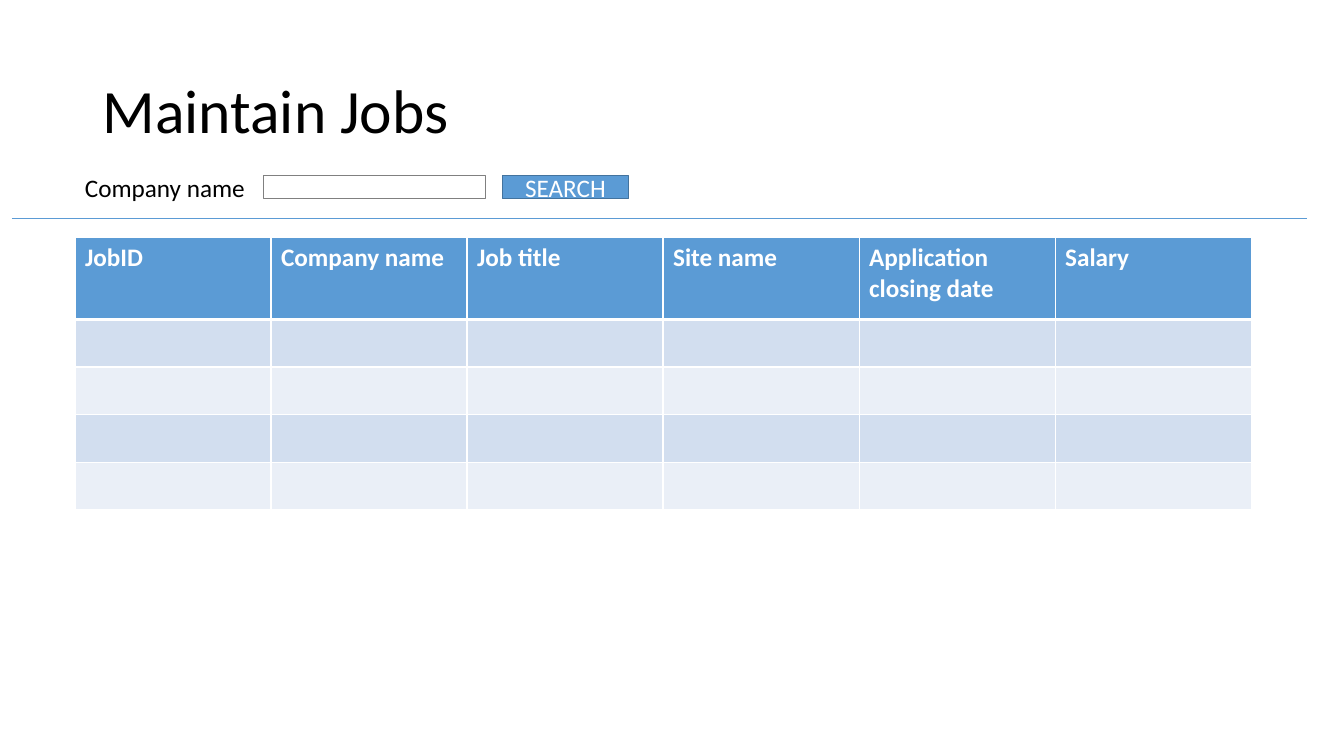
from lxml.etree import SubElement
from pptx import Presentation
from pptx.dml.color import RGBColor
from pptx.enum.shapes import MSO_CONNECTOR, MSO_SHAPE
from pptx.enum.text import MSO_ANCHOR, PP_ALIGN
from pptx.oxml.ns import qn
from pptx.util import Cm, Pt

FONT = "Calibri"
BLACK = "000000"
WHITE = "FFFFFF"
BLUE = "5B9BD5"
BAND_FILLS = ["D2DEEF", "EAEFF7"]
HEADERS = ["JobID", "Company name", "Job title", "Site name",
           "Application closing date", "Salary"]
BODY_ROWS = 4


def color(hex_value):
    return RGBColor.from_string(hex_value)


def write(text_frame, text, size, hex_value, align=PP_ALIGN.LEFT, bold=False):
    text_frame.word_wrap = True
    paragraph = text_frame.paragraphs[0]
    paragraph.text = text
    paragraph.alignment = align
    paragraph.font.name = FONT
    paragraph.font.size = Pt(size)
    paragraph.font.bold = bold
    paragraph.font.color.rgb = color(hex_value)
    return paragraph


def set_title(slide, text):
    title = slide.shapes.title
    title.left, title.top, title.width, title.height = Cm(2.33), Cm(1.01), Cm(29.21), Cm(3.68)
    title.text_frame.vertical_anchor = MSO_ANCHOR.MIDDLE
    write(title.text_frame, text, 44, BLACK).line_spacing = 0.9


def add_box(slide, left, top, width, height, fill, line=None):
    shape = slide.shapes.add_shape(
        MSO_SHAPE.RECTANGLE, Cm(left), Cm(top), Cm(width), Cm(height))
    shape.shadow.inherit = False
    shape.fill.solid()
    shape.fill.fore_color.rgb = color(fill)
    if line:
        shape.line.color.rgb = color(line)
        shape.line.width = Pt(1)
    else:
        shape.line.fill.background()
    shape.text_frame.vertical_anchor = MSO_ANCHOR.MIDDLE
    return shape


def add_divider(slide, left, right, top):
    connector = slide.shapes.add_connector(
        MSO_CONNECTOR.STRAIGHT, Cm(left), Cm(top), Cm(right), Cm(top))
    connector.line.color.rgb = color(BLUE)
    connector.line.width = Pt(0.5)
    SubElement(connector._element.spPr, qn("a:effectLst"))


def set_border(cell, side, width):
    properties = cell._tc.get_or_add_tcPr()
    line = SubElement(properties, qn(f"a:ln{side}"), w=str(Pt(width)))
    fill = SubElement(line, qn("a:solidFill"))
    SubElement(fill, qn("a:srgbClr"), val=WHITE)


def format_cell(cell, fill, top_border, bottom_border):
    for side, width in zip("LRTB", (1, 1, top_border, bottom_border)):
        set_border(cell, side, width)
    cell.fill.solid()
    cell.fill.fore_color.rgb = color(fill)


def add_jobs_table(slide):
    column_width, header_height, row_height = 4.94, 2.07, 1.2
    table = slide.shapes.add_table(
        BODY_ROWS + 1, len(HEADERS), Cm(1.89), Cm(5.98),
        Cm(column_width * len(HEADERS)),
        Cm(header_height + row_height * BODY_ROWS)).table
    for column in table.columns:
        column.width = Cm(column_width)
    for index, row in enumerate(table.rows):
        row.height = Cm(row_height if index else header_height)
        fill = BAND_FILLS[(index - 1) % 2] if index else BLUE
        for cell in row.cells:
            format_cell(cell, fill, 3 if index == 1 else 1, 1 if index else 3)
    for cell, header in zip(table.rows[0].cells, HEADERS):
        write(cell.text_frame, header, 18, WHITE, bold=True)


def main():
    presentation = Presentation()
    presentation.slide_width = Cm(33.87)
    presentation.slide_height = Cm(19.05)
    slide = presentation.slides.add_slide(presentation.slide_layouts[5])

    set_title(slide, "Maintain Jobs")
    label = add_box(slide, 1.89, 4.2, 4.75, 1.03, WHITE)
    write(label.text_frame, "Company name", 18, BLACK)
    add_box(slide, 6.64, 4.43, 5.6, 0.58, WHITE, "808080")
    button = add_box(slide, 12.66, 4.43, 3.18, 0.58, BLUE, "43739E")
    write(button.text_frame, "SEARCH", 18, WHITE, PP_ALIGN.CENTER)
    add_divider(slide, 0.3, 32.94, 5.49)
    add_jobs_table(slide)

    presentation.save("out.pptx")


if __name__ == "__main__":
    main()
